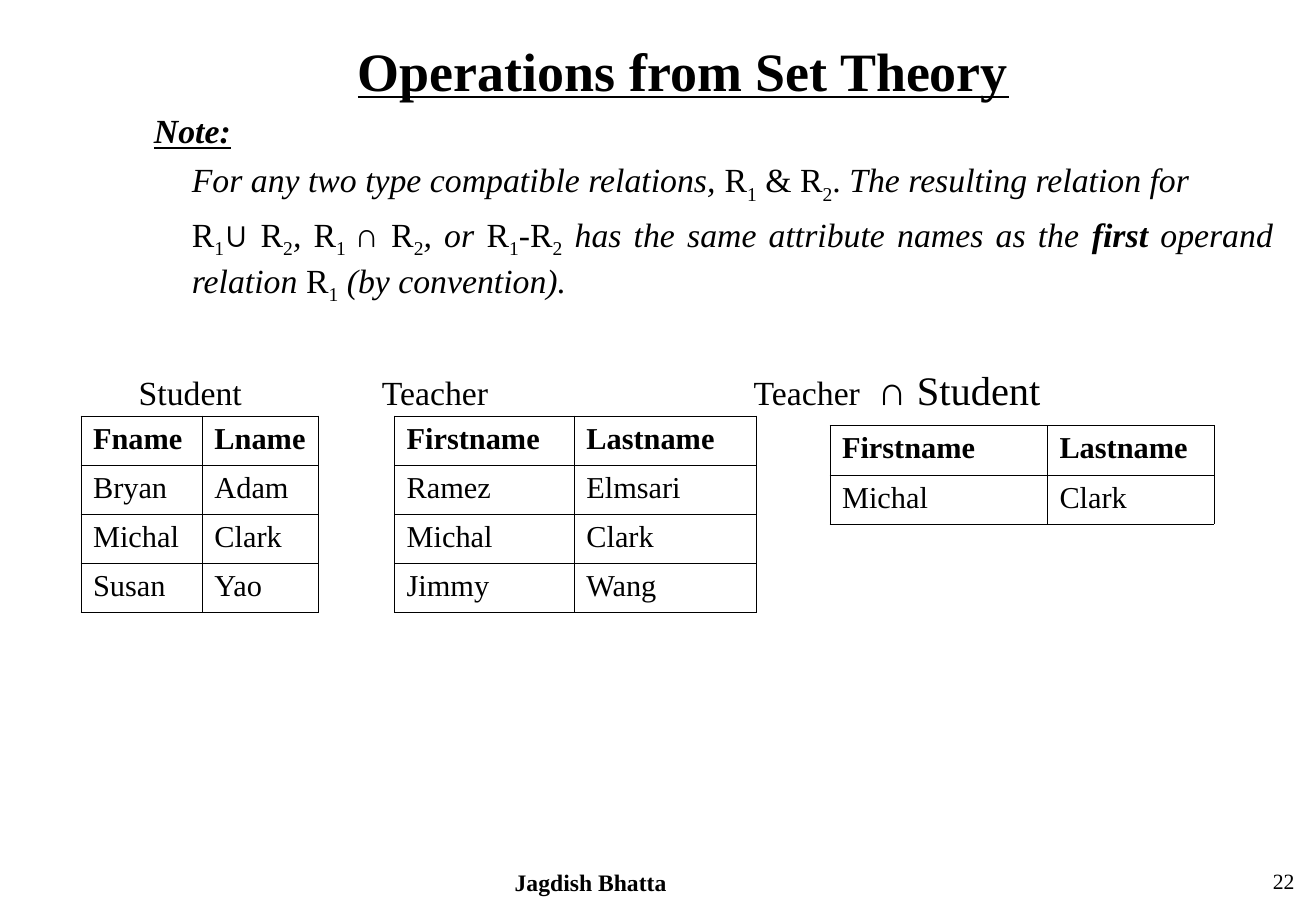
from lxml.etree import SubElement
from pptx import Presentation
from pptx.dml.color import RGBColor
from pptx.enum.text import PP_ALIGN
from pptx.oxml.ns import qn
from pptx.util import Pt

BLACK = RGBColor(0x00, 0x00, 0x00)
SERIF = "Times New Roman"
SYMBOL = "Arial"

prs = Presentation()
prs.slide_width = Pt(780.48)
prs.slide_height = Pt(540)
slide = prs.slides.add_slide(prs.slide_layouts[6])


def add_runs(paragraph, runs, size):
    """Style letters: b bold, i italic, u underline, s subscript, m math symbol."""
    for text, style in runs:
        run = paragraph.add_run()
        run.text = text
        run.font.name = SYMBOL if "m" in style else SERIF
        run.font.size = Pt(size)
        run.font.color.rgb = BLACK
        run.font.bold = "b" in style
        run.font.italic = "i" in style
        run.font.underline = "u" in style
        if "s" in style:
            run.font._element.set("baseline", "-25000")


def add_text(left, top, width, height, runs, size, align=PP_ALIGN.LEFT):
    frame = slide.shapes.add_textbox(Pt(left), Pt(top), Pt(width), Pt(height)).text_frame
    frame.word_wrap = True
    frame.margin_left = frame.margin_right = frame.margin_top = frame.margin_bottom = 0
    frame.paragraphs[0].alignment = align
    add_runs(frame.paragraphs[0], runs, size)
    return frame


# Title
add_text(55.3, 22, 700, 38, [("Operations from Set Theory", "bu")], 32, PP_ALIGN.CENTER)

# Note with its two indented paragraphs
note = add_text(91.3, 65.3, 663.7, 120, [("Note:", "biu")], 20)
statements = [
    [("For any two type compatible relations, ", "i"), ("R", ""), ("1", "s"),
     (" & R", ""), ("2", "s"), (". ", ""), ("The resulting relation for", "i")],
    [("R", ""), ("1", "s"), ("∪", "m"), (" R", ""), ("2", "s"), (", ", "i"),
     ("R", ""), ("1 ", "s"), ("∩", "m"), (" R", ""), ("2", "s"), (", or ", "i"),
     ("R", ""), ("1", "s"), ("-R", ""), ("2", "s"),
     (" has the same attribute names as the ", "i"), ("first", "bi"),
     (" operand relation ", "i"), ("R", ""), ("1", "s"), (" (by convention).", "i")],
]
for statement in statements:
    paragraph = note.add_paragraph()
    paragraph.alignment = PP_ALIGN.JUSTIFY
    paragraph.space_before = Pt(5)
    paragraph._p.get_or_add_pPr().set("marL", str(Pt(22.5)))
    add_runs(paragraph, statement, 20)

# Relation names above the tables
add_text(82.3, 220.2, 100, 23, [("Student", "")], 20)
add_text(226.5, 220.2, 100, 23, [("Teacher", "")], 20)
intersection = add_text(447, 216.2, 220, 28, [("Teacher\t", "")], 20).paragraphs[0]
tab_stops = SubElement(intersection._p.get_or_add_pPr(), qn("a:tabLst"))
SubElement(tab_stops, qn("a:tab"), pos=str(Pt(73.5)), algn="l")
add_runs(intersection, [("∩", "m"), (" Student", "")], 24)

# Relations: left, top, column widths, rows
ROW_HEIGHT = 29.1
relations = [
    (48, 246.5, (72, 69),
     [("Fname", "Lname"), ("Bryan", "Adam"), ("Michal", "Clark"), ("Susan", "Yao")]),
    (234, 246.5, (106.6, 108),
     [("Firstname", "Lastname"), ("Ramez", "Elmsari"), ("Michal", "Clark"), ("Jimmy", "Wang")]),
    (492.2, 252.4, (129, 98.8),
     [("Firstname", "Lastname"), ("Michal", "Clark")]),
]
for left, top, widths, rows in relations:
    relation = slide.shapes.add_table(
        len(rows), len(widths), Pt(left), Pt(top),
        Pt(sum(widths)), Pt(ROW_HEIGHT * len(rows))).table
    relation.first_row = relation.horz_banding = False
    for column, width in zip(relation.columns, widths):
        column.width = Pt(width)
    for r, values in enumerate(rows):
        relation.rows[r].height = Pt(ROW_HEIGHT)
        for c, value in enumerate(values):
            cell = relation.cell(r, c)
            add_runs(cell.text_frame.paragraphs[0], [(value, "b" if r == 0 else "")], 18)
            properties = cell._tc.get_or_add_tcPr()
            for side in ("a:lnL", "a:lnR", "a:lnT", "a:lnB"):
                border = SubElement(properties, qn(side), w=str(Pt(0.45)))
                line_fill = SubElement(border, qn("a:solidFill"))
                SubElement(line_fill, qn("a:srgbClr"), val=str(BLACK))
            cell.fill.background()

# Footer: author and page number
add_text(204, 514.3, 292.6, 18, [("Jagdish Bhatta", "b")], 14, PP_ALIGN.CENTER)
add_text(612, 514.3, 155.7, 18, [("22", "")], 12.9, PP_ALIGN.RIGHT)

prs.save("out.pptx")
